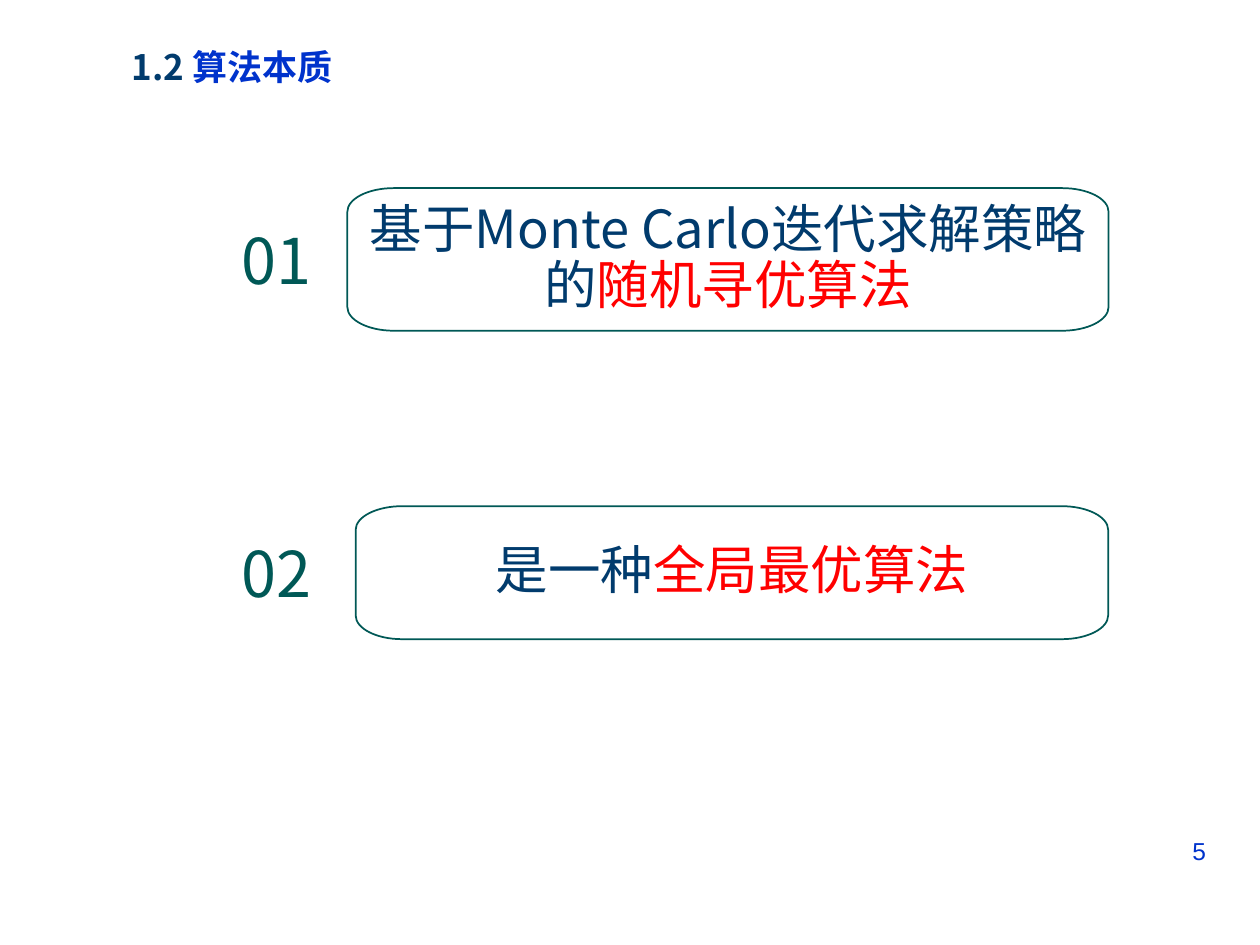
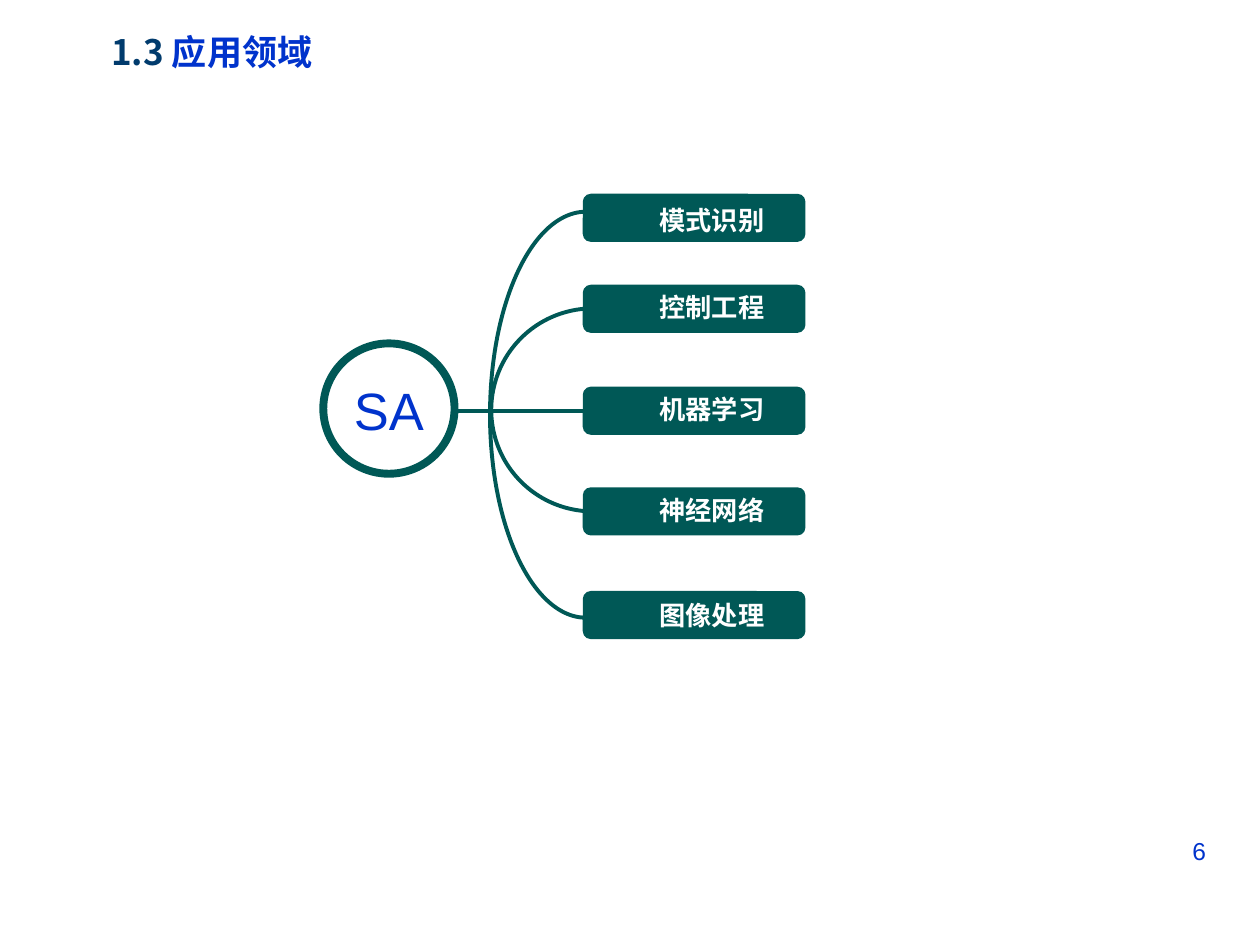
import lxml.etree
import pptx
import pptx.dml.color
import pptx.enum.shapes
import pptx.enum.text
import pptx.oxml
import pptx.oxml.ns
import pptx.util

Pt = pptx.util.Pt
SHAPE = pptx.enum.shapes.MSO_SHAPE
ALIGN = pptx.enum.text.PP_ALIGN
ANCHOR = pptx.enum.text.MSO_ANCHOR
qn = pptx.oxml.ns.qn


def rgb(code):
    return pptx.dml.color.RGBColor.from_string(code)


class Slides:
    """Shared style and the current page; all lengths are in points."""

    GREEN, NAVY, BLUE, RED, WHITE = "005856", "013B6D", "0033CC", "FF0000", "FFFFFF"
    HAN, LATIN = "Noto Sans CJK SC", "Arial"

    def __init__(self):
        self.deck = pptx.Presentation()
        self.deck.slide_width, self.deck.slide_height = Pt(720), Pt(540)
        self.page = None

    def place(self, box, left, top, width, height):
        box.left, box.top, box.width, box.height = map(Pt, (left, top, width, height))

    def style_para(self, para, size, font, color=None, bold=False, align=ALIGN.CENTER):
        para.alignment = align
        para.font.size, para.font.name, para.font.bold = Pt(size), font, bold
        if color:
            para.font.color.rgb = rgb(color)
        latin = para.font._element.find(qn("a:latin"))
        east_asian = pptx.oxml.parse_xml(
            f'<a:ea {pptx.oxml.ns.nsdecls("a")} typeface="{font}"/>')
        latin.addnext(east_asian)

    def add_spans(self, para, *spans):
        for text, color in spans:
            span = para.add_run()
            span.text = text
            span.font.color.rgb = rgb(color)

    def style_shape(self, shape, fill=None, line=None, weight=1):
        shape.shadow.inherit = False
        if fill:
            shape.fill.solid()
            shape.fill.fore_color.rgb = rgb(fill)
        else:
            shape.fill.background()
        if line:
            shape.line.color.rgb = rgb(line)
            shape.line.width = Pt(weight)
        else:
            shape.line.fill.background()

    def set_margins(self, frame, left, top, right, bottom):
        frame.margin_left, frame.margin_top = Pt(left), Pt(top)
        frame.margin_right, frame.margin_bottom = Pt(right), Pt(bottom)

    def new_page(self, number, name, left, top, page_number):
        self.page = self.deck.slides.add_slide(self.deck.slide_layouts[5])
        title = self.page.shapes.title
        self.place(title, left, top, 274, 31.5)
        frame = title.text_frame
        frame.word_wrap = True
        frame.vertical_anchor = ANCHOR.TOP
        frame.auto_size = pptx.enum.text.MSO_AUTO_SIZE.NONE
        self.add_spans(frame.paragraphs[0], (number + " ", self.NAVY), (name, self.BLUE))
        self.style_para(frame.paragraphs[0], 20, self.HAN, bold=True)
        self.text_box(str(page_number), 516.25, 474, 180, 37.5,
                      14, self.LATIN, self.BLUE, ALIGN.RIGHT)

    def text_box(self, text, left, top, width, height, size, font, color,
                 align=ALIGN.CENTER):
        box = self.page.shapes.add_textbox(*map(Pt, (left, top, width, height)))
        box.text_frame.word_wrap = True
        para = box.text_frame.paragraphs[0]
        para.text = text
        self.style_para(para, size, font, color, align=align)

    def round_corners(self, box):
        """Turn every other side of an eight-sided outline into a quarter ellipse."""
        outline = next(box._element.iter(qn("a:path")))
        sides = outline.findall(qn("a:lnTo"))
        ends = [(int(point.get("x")), int(point.get("y")))
                for point in outline.iter(qn("a:pt"))]
        for index in range(0, len(sides), 2):
            start, end = ends[index], ends[index + 1]
            corner = (start[0], end[1]) if index % 4 == 0 else (end[0], start[1])
            controls = [tuple(round(a + 0.55 * (b - a)) for a, b in zip(point, corner))
                        for point in (start, end)]
            curve = lxml.etree.Element(qn("a:cubicBezTo"))
            for x, y in (*controls, end):
                lxml.etree.SubElement(curve, qn("a:pt"), x=str(x), y=str(y))
            outline.replace(sides[index], curve)

    def statement(self, left, top, right, bottom, *spans):
        across, down = 26.5, 13.5
        corners = [(left, top + down), (left + across, top),
                   (right - across, top), (right, top + down),
                   (right, bottom - down), (right - across, bottom),
                   (left + across, bottom), (left, bottom - down),
                   (left, top + down)]
        corners = [(Pt(x), Pt(y)) for x, y in corners]
        builder = self.page.shapes.build_freeform(*corners[0])
        # The last side of the eight is drawn by closing the outline
        builder.add_line_segments(corners[1:-1], close=True)
        box = builder.convert_to_shape()
        self.round_corners(box)
        self.style_shape(box, self.WHITE, self.GREEN)
        frame = box.text_frame
        frame.word_wrap = True
        frame.vertical_anchor = ANCHOR.MIDDLE
        self.set_margins(frame, 7.2, 7.2, 7.2, 7.2)
        para = frame.paragraphs[0]
        para.line_spacing, para.space_after = 0.9, Pt(13)
        self.add_spans(para, *spans)
        self.style_para(para, 30, self.HAN)

    def arc(self, left, top, width, height):
        """Left half of an ellipse, from the bottom to the top."""
        arc = self.page.shapes.add_shape(SHAPE.ARC, *map(Pt, (left, top, width, height)))
        arc.adjustments[0], arc.adjustments[1] = 54, 162
        self.style_shape(arc, line=self.GREEN, weight=2.25)

    def hub(self, text, left, top, width, height):
        circle = self.page.shapes.add_shape(SHAPE.OVAL, *map(Pt, (left, top, width, height)))
        self.style_shape(circle, line=self.GREEN, weight=4.5)
        frame = circle.text_frame
        frame.vertical_anchor = ANCHOR.MIDDLE
        self.set_margins(frame, 0, 1, 0, 0)
        frame.paragraphs[0].text = text
        self.style_para(frame.paragraphs[0], 30, self.LATIN, self.BLUE)

    def field_box(self, text, left, top, width, height, drop):
        box = self.page.shapes.add_shape(
            SHAPE.ROUNDED_RECTANGLE, *map(Pt, (left, top, width, height)))
        self.style_shape(box, self.GREEN)
        frame = box.text_frame
        frame.vertical_anchor = ANCHOR.MIDDLE
        self.set_margins(frame, 27.5, 2 + drop, 7.2, 2 - drop)
        frame.paragraphs[0].text = text
        self.style_para(frame.paragraphs[0], 15, self.HAN, self.WHITE, bold=True)
        return box

    def line_to(self, box, left):
        middle = box.top + box.height // 2
        line = self.page.shapes.add_connector(
            pptx.enum.shapes.MSO_CONNECTOR.STRAIGHT, Pt(left), middle, box.left, middle)
        line.end_connect(box, 1)
        line.line.color.rgb = rgb(self.GREEN)
        line.line.width = Pt(2.25)
        lxml.etree.SubElement(line._element.spPr, qn("a:effectLst"))


def main():
    slides = Slides()

    # Nature of the algorithm
    slides.new_page("1.2", "算法本质", -4.5, 22.5, 5)
    for number, top in (("01", 123), ("02", 302)):
        slides.text_box(number, 130.25, top, 55.5, 50.5, 36, slides.HAN, slides.GREEN)
    slides.statement(198.5, 107.5, 633.5, 189,
                     ("基于Monte Carlo迭代求解策略的", slides.NAVY),
                     ("随机寻优算法", slides.RED))
    slides.statement(203.25, 289.25, 633.25, 365.25,
                     ("是一种", slides.NAVY), ("全局最优算法", slides.RED))

    # Fields of application, fanned out from the hub
    slides.new_page("1.3", "应用领域", -16, 14, 6)
    slides.arc(280.75, 176.25, 116, 116)
    slides.arc(280, 121, 109.5, 232)
    # Each field: top of its box, drop of its text below the middle
    fields = {"模式识别": (110.75, 1), "控制工程": (162.75, -1), "机器学习": (221, -1),
              "神经网络": (278.5, -1), "图像处理": (337.75, 0)}
    boxes = {name: slides.field_box(name, 333, top, 127.25, 27.5, drop)
             for name, (top, drop) in fields.items()}
    slides.line_to(boxes["机器学习"], 260)
    slides.hub("SA", 184.75, 196.25, 75, 74.5)

    slides.deck.save("out.pptx")


if __name__ == "__main__":
    main()
